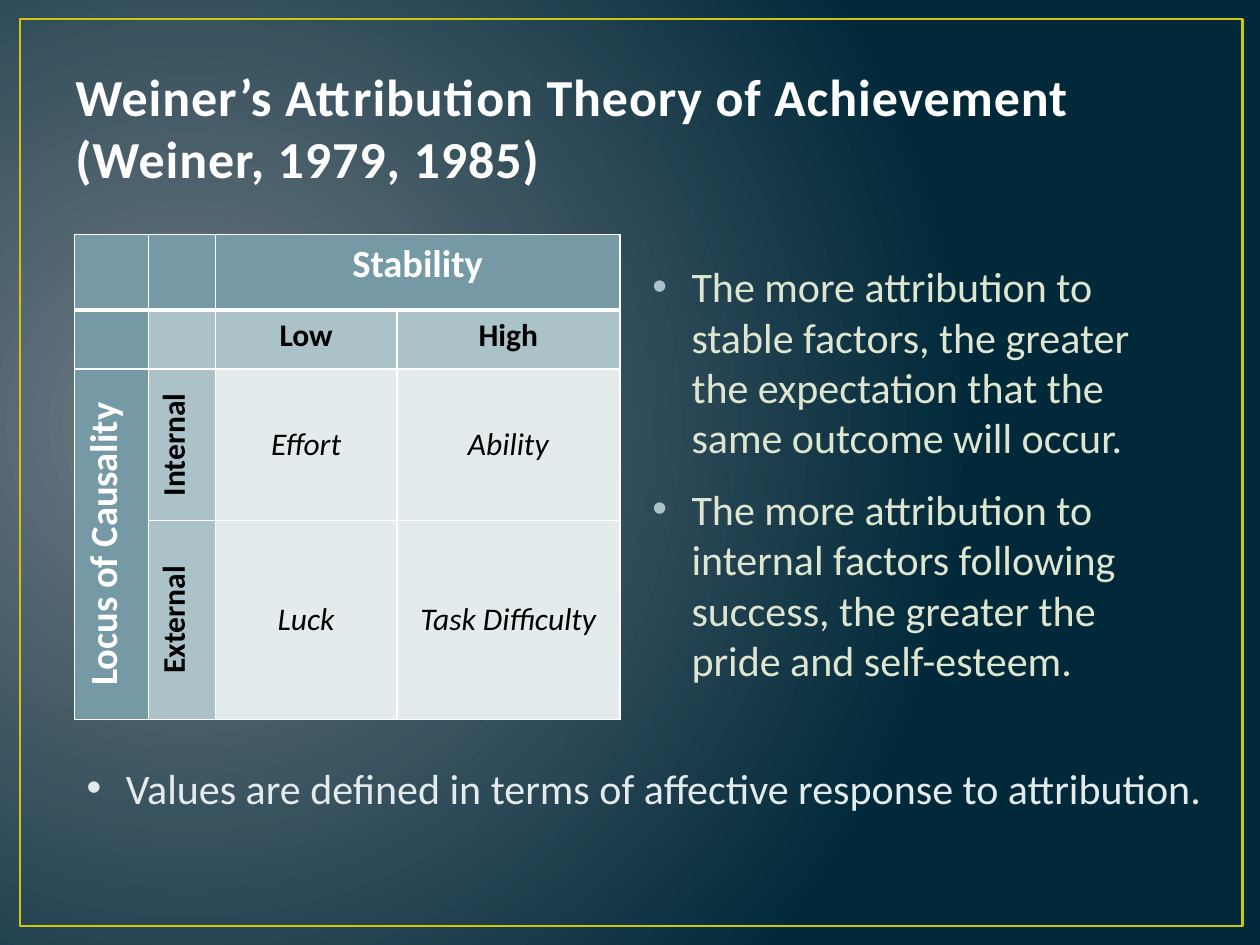
from dataclasses import dataclass

from lxml import etree
from pptx import Presentation
from pptx.dml.color import RGBColor
from pptx.enum.shapes import MSO_SHAPE
from pptx.enum.text import MSO_ANCHOR, PP_ALIGN
from pptx.oxml import parse_xml
from pptx.oxml.ns import nsdecls, qn
from pptx.util import Inches, Pt

RECTANGLE = MSO_SHAPE.RECTANGLE
TOP, MIDDLE, BOTTOM = MSO_ANCHOR.TOP, MSO_ANCHOR.MIDDLE, MSO_ANCHOR.BOTTOM
CENTER = PP_ALIGN.CENTER
COLUMNS, ROWS, UNIT = 100, 75, Inches(0.1)


@dataclass(frozen=True)
class Theme:
    """Colours and type sizes of the deck."""

    font: str = "Calibri"
    glow: str = "717C84"
    night: str = "01293A"
    frame: str = "CFC60D"
    title: str = "FEFEFE"
    body: str = "DFE6D0"
    pale: str = "E3EBED"
    header: str = "759AA5"
    label: str = "ACC2C9"
    white: str = "FFFFFF"
    black: str = "000000"
    title_size: float = 29.7
    body_size: float = 24
    heading_size: float = 22
    cell_size: float = 18


@dataclass(frozen=True)
class Box:
    """An area in grid columns and rows."""

    left: float
    top: float
    width: float
    height: float

    def place(self):
        """Return the area as slide lengths."""
        return [grid(n) for n in (self.left, self.top, self.width, self.height)]


THEME = Theme()


def grid(count):
    """Convert grid steps to a slide length."""
    return round(count * UNIT)


def style(para, size, color, bold=False, italic=False):
    """Format every run of a paragraph."""
    for span in para.runs:
        span.font.name = THEME.font
        span.font.size = Pt(size)
        span.font.bold = bold
        span.font.italic = italic
        span.font.color.rgb = RGBColor.from_string(color)


def paint_background(page):
    """Fill the page with a radial glow from the left."""
    page.background.fill.solid()
    holder = page.element.find(".//" + qn("p:bgPr"))
    stops = "".join(
        f'<a:gs pos="{position}"><a:srgbClr val="{color}"/></a:gs>'
        for position, color in ((0, THEME.glow), (100000, THEME.night))
    )
    holder.replace(holder[0], parse_xml(
        f'<a:gradFill {nsdecls("a")} rotWithShape="1"><a:gsLst>{stops}</a:gsLst>'
        '<a:path path="circle"><a:fillToRect l="15000" t="50000" r="85000" b="60000"/>'
        "</a:path></a:gradFill>"
    ))


def add_frame(page, box):
    """Draw the thin border around the page."""
    frame = page.shapes.add_shape(RECTANGLE, *box.place())
    frame.shadow.inherit = False
    frame.fill.background()
    frame.line.color.rgb = RGBColor.from_string(THEME.frame)
    frame.line.width = Pt(1.5)


def add_text(page, box, anchor=TOP):
    """Add a wrapping text box and return its frame."""
    frame = page.shapes.add_textbox(*box.place()).text_frame
    frame.word_wrap = True
    frame.vertical_anchor = anchor
    return frame


def add_title(page, box, text):
    """Set the slide title at the foot of its box."""
    para = add_text(page, box, BOTTOM).paragraphs[0]
    para.text = text
    style(para, THEME.title_size, THEME.title, bold=True)
    para.runs[0].font._element.set("spc", "50")


def add_bullets(page, box, texts, color, bullet_color):
    """Set a bulleted list with a hanging indent."""
    frame = add_text(page, box)
    frame.text = "\n".join(texts)
    for index, para in enumerate(frame.paragraphs):
        if index:
            para.space_before = Pt(12)
        props = para._p.get_or_add_pPr()
        props.set("marL", str(grid(3.1)))
        props.set("indent", str(-grid(3.1)))
        tint = etree.SubElement(props, qn("a:buClr"))
        etree.SubElement(tint, qn("a:srgbClr"), val=bullet_color)
        etree.SubElement(props, qn("a:buFont"), typeface="Arial")
        etree.SubElement(props, qn("a:buChar"), char="•")
        style(para, THEME.body_size, color)


def add_borders(cell, top, bottom):
    """Give a cell white edges of the stated weights."""
    props = cell._tc.get_or_add_tcPr()
    for side, weight in (("L", 1), ("R", 1), ("T", top), ("B", bottom)):
        props.append(parse_xml(
            f'<a:ln{side} {nsdecls("a")} w="{Pt(weight)}"><a:solidFill>'
            f'<a:srgbClr val="{THEME.white}"/></a:solidFill></a:ln{side}>'
        ))


def style_cell(cell, row, column):
    """Format a cell by its place among headings, labels and causes."""
    add_borders(cell, 3 if row == 1 else 1, 3 if row == 0 else 1)
    heading = row == 0 or column == 0
    cause = row > 1 and column > 1
    fill = THEME.header if heading else THEME.pale if cause else THEME.label
    cell.fill.solid()
    cell.fill.fore_color.rgb = RGBColor.from_string(fill)
    cell.vertical_anchor = MIDDLE if cause else BOTTOM if column == 0 else TOP
    if row > 1 and column < 2:
        cell._tc.get_or_add_tcPr().set("vert", "vert270")
    para = cell.text_frame.paragraphs[0]
    para.alignment = CENTER
    size = THEME.heading_size if heading else THEME.cell_size
    style(para, size, THEME.white if heading else THEME.black, not cause, cause)


def add_matrix(page, box, texts, widths, heights):
    """Build the table, sharing its box by column and row weights."""
    table = page.shapes.add_table(len(heights), len(widths), *box.place()).table
    table.horz_banding = False
    for column, weight in zip(table.columns, widths):
        column.width = grid(box.width * weight / sum(widths))
    for row, weight in zip(table.rows, heights):
        row.height = grid(box.height * weight / sum(heights))
    for row, line in enumerate(texts):
        for column, text in enumerate(line):
            cell = table.cell(row, column)
            cell.text = text
            style_cell(cell, row, column)
    table.cell(0, 2).merge(table.cell(0, 3))
    table.cell(2, 0).merge(table.cell(3, 0))


def build_attribution_slide(deck):
    """Compose the attribution theory slide."""
    page = deck.slides.add_slide(deck.slide_layouts[6])
    paint_background(page)
    add_frame(page, Box(1.6, 1.5, 97, 72))
    add_title(page, Box(5, 3, 90, 12.5),
              "Weiner’s Attribution Theory of Achievement (Weiner, 1979, 1985)")
    add_matrix(page, Box(5.9, 18.6, 43.3, 38.5), [
        ["", "", "Stability", ""],
        ["", "", "Low", "High"],
        ["Locus of Causality", "Internal", "Effort", "Ability"],
        ["", "External", "Luck", "Task Difficulty"],
    ], widths=(5.9, 5.3, 14.4, 17.7), heights=(6, 4.7, 12, 15.8))
    add_bullets(page, Box(50.8, 20.2, 44.2, 51.2), [
        "The more attribution to stable factors, the greater the expectation "
        "that the same outcome will occur.",
        "The more attribution to internal factors following success, "
        "the greater the pride and self-esteem.",
    ], THEME.body, THEME.label)
    add_bullets(page, Box(5.9, 60, 90.6, 5), [
        "Values are defined in terms of affective response to attribution.",
    ], THEME.pale, THEME.pale)


def main():
    """Create and save the deck."""
    deck = Presentation()
    deck.slide_width, deck.slide_height = grid(COLUMNS), grid(ROWS)
    build_attribution_slide(deck)
    deck.save("out.pptx")


if __name__ == "__main__":
    main()
